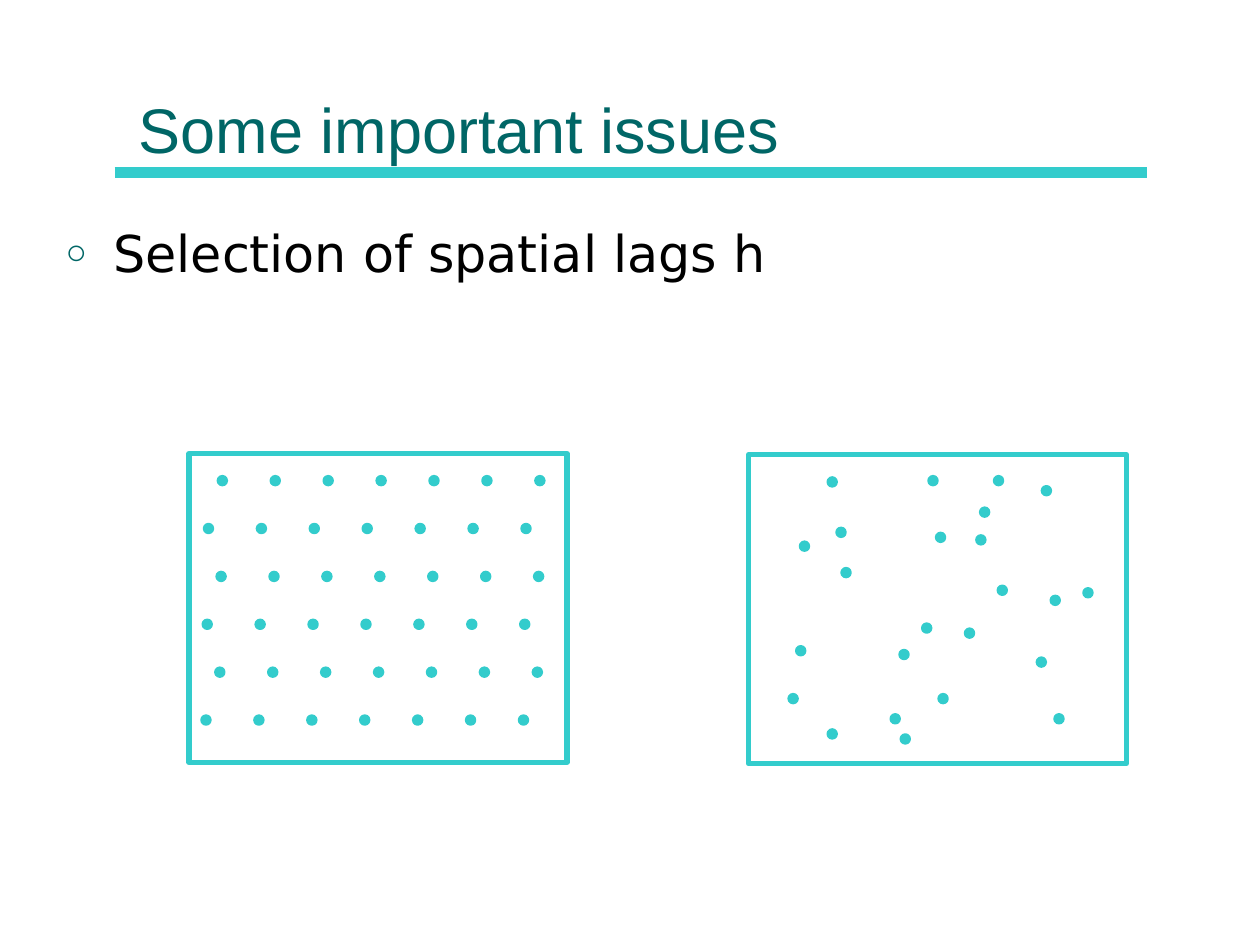
"""Build the slide on selecting spatial lags, with regular and scattered sample points."""
from dataclasses import dataclass

from lxml import etree
from pptx import Presentation
from pptx.dml.color import RGBColor
from pptx.enum.shapes import MSO_CONNECTOR, MSO_SHAPE
from pptx.enum.text import MSO_ANCHOR, MSO_AUTO_SIZE, PP_ALIGN
from pptx.oxml.ns import qn
from pptx.util import Inches, Pt

LEFT, TOP, BOTTOM = PP_ALIGN.LEFT, MSO_ANCHOR.TOP, MSO_ANCHOR.BOTTOM
NO_AUTOFIT = MSO_AUTO_SIZE.NONE
RECTANGLE, OVAL = MSO_SHAPE.RECTANGLE, MSO_SHAPE.OVAL
STRAIGHT = MSO_CONNECTOR.STRAIGHT


@dataclass(frozen=True)
class Theme:
    accent: RGBColor = RGBColor(0x33, 0xCC, 0xCC)
    heading: RGBColor = RGBColor(0x00, 0x66, 0x66)
    ink: RGBColor = RGBColor(0x00, 0x00, 0x00)
    heading_font: str = "Arial"
    body_font: str = "DejaVu Sans"
    heading_size: Pt = Pt(36)
    body_size: Pt = Pt(29)


theme = Theme()


def write(holder, box, anchor, text, font_name, size, color):
    holder.left, holder.top, holder.width, holder.height = map(Inches, box)
    frame = holder.text_frame
    frame.text = text
    frame.word_wrap = True
    frame.auto_size = NO_AUTOFIT
    frame.vertical_anchor = anchor
    paragraph = frame.paragraphs[0]
    paragraph.alignment = LEFT
    paragraph.space_before = Pt(0)
    if holder is topic:
        properties = paragraph._p.get_or_add_pPr()
        properties.set("marL", str(Inches(0.38)))
        properties.set("indent", str(-Inches(0.38)))
        bullet_color = etree.SubElement(properties, qn("a:buClr"))
        etree.SubElement(bullet_color, qn("a:srgbClr"), val=str(theme.heading))
        etree.SubElement(properties, qn("a:buSzPct"), val="70000")
        etree.SubElement(properties, qn("a:buChar"), char="○")
    paragraph.font.name = font_name
    paragraph.font.size = size
    paragraph.font.color.rgb = color


def add_outlined(group, preset, box, line_width):
    shape = group.shapes.add_shape(preset, *map(Inches, box))
    shape.shadow.inherit = False
    shape.line.color.rgb = theme.accent
    shape.line.width = line_width
    return shape


prs = Presentation()
prs.slide_width, prs.slide_height = Inches(10), Inches(7.5)
slide = prs.slides.add_slide(prs.slide_layouts[1])
heading, topic = slide.placeholders

write(heading, (1, 0.12, 8, 1.25), BOTTOM, "Some important issues",
      theme.heading_font, theme.heading_size, theme.heading)
write(topic, (0.42, 1.71, 9.13, 4.5), TOP, "Selection of spatial lags h",
      theme.body_font, theme.body_size, theme.ink)

rule = slide.shapes.add_connector(STRAIGHT, Inches(0.91), Inches(1.37), Inches(9.1), Inches(1.37))
rule.line.color.rgb = theme.accent
rule.line.width = Pt(6)
etree.SubElement(rule._element.spPr, qn("a:effectLst"))

regular_points = [
    (1.73 - 0.11 * (row % 2) - 0.01 * (row // 2) + 0.42 * column, 3.78 + 0.38 * row)
    for row in range(6)
    for column in range(7)
]
scattered_points = [
    (6.57, 3.79), (7.37, 3.78), (7.89, 3.78), (8.27, 3.86), (7.78, 4.03),
    (6.64, 4.19), (6.35, 4.3), (7.43, 4.23), (7.75, 4.25), (6.68, 4.51),
    (7.92, 4.65), (8.6, 4.67), (8.34, 4.73), (7.32, 4.95), (7.66, 4.99),
    (6.32, 5.13), (7.14, 5.16), (8.23, 5.22), (6.26, 5.51), (7.45, 5.51),
    (7.07, 5.67), (8.37, 5.67), (6.57, 5.79), (7.15, 5.83),
]
dot_size = 0.07

for left, top, points in ((1.5, 3.6, regular_points), (5.94, 3.61, scattered_points)):
    field = slide.shapes.add_group_shape()
    border = add_outlined(field, RECTANGLE, (left, top, 3, 2.45), Pt(3))
    border.fill.background()
    for x, y in points:
        dot = add_outlined(field, OVAL, (x, y, dot_size, dot_size), Pt(1.5))
        dot.fill.solid()
        dot.fill.fore_color.rgb = theme.accent

prs.save("out.pptx")
